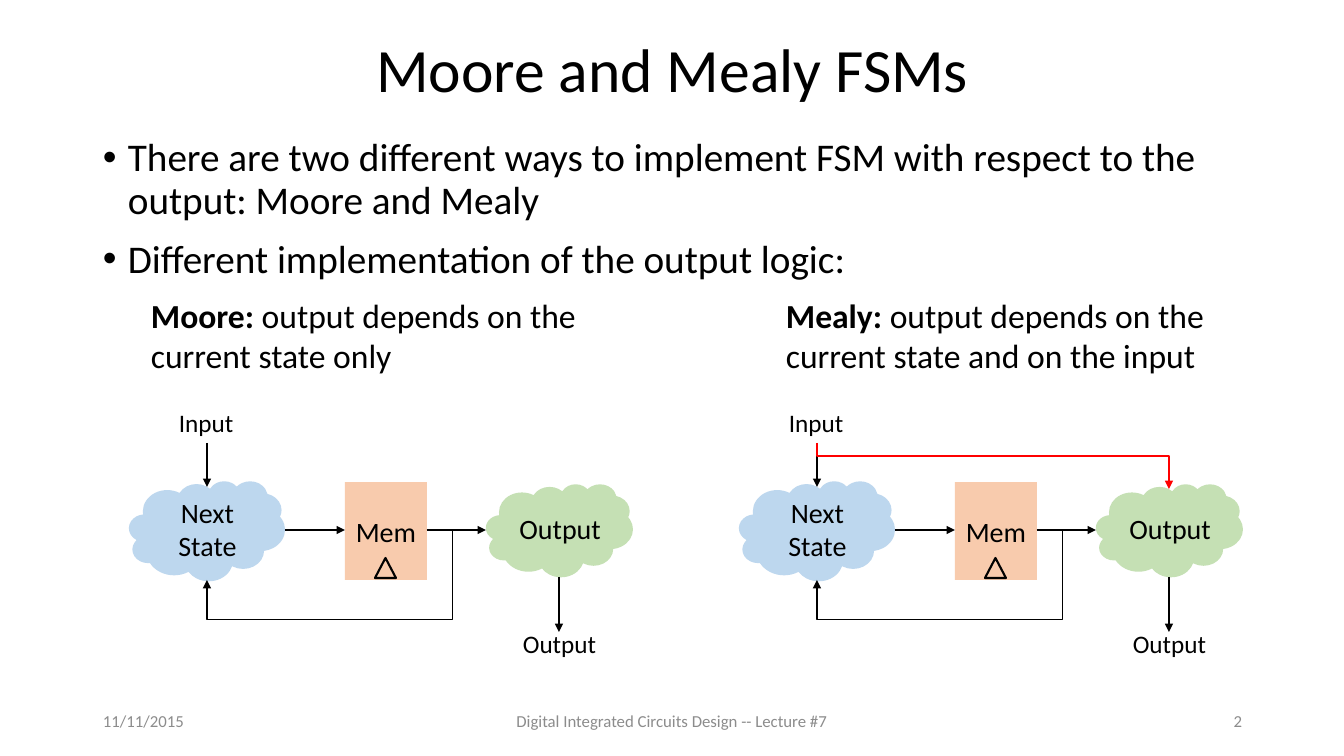
from lxml.etree import SubElement
from pptx import Presentation
from pptx.dml.color import RGBColor
from pptx.enum.shapes import MSO_CONNECTOR as LINK, MSO_SHAPE as SHAPE
from pptx.enum.text import MSO_ANCHOR as ANCHOR, PP_ALIGN as ALIGN
from pptx.oxml.ns import qn
from pptx.util import Pt

PX = 914400 / 100.8
FONT = "Calibri"
COLORS = {"black": "000000", "grey": "8C8C8C", "red": "FF0000",
          "memory": "F8CBAD", "output": "C5E0B4", "state": "BDD7EE"}

TITLE = "Moore and Mealy FSMs"
POINTS = ["There are two different ways to implement FSM with respect to the output: Moore and Mealy",
          "Different implementation of the output logic:"]
FOOTER = [("11/11/2015", 93, 302, ALIGN.LEFT),
          ("Digital Integrated Circuits Design -- Lecture #7", 445, 454, ALIGN.CENTER),
          ("2", 950, 302, ALIGN.RIGHT)]
# name, rule, left of the rule text, left of the diagram
MACHINES = [("Moore: ", "output depends on the current state only", 141, 129),
            ("Mealy: ", "output depends on the current state and on the input", 776, 739)]

# Everything below is measured from the left edge of a diagram.
BLOCKS = [("Mem", SHAPE.RECTANGLE, "memory", (216, 482, 82, 98)),
          ("", SHAPE.ISOSCELES_TRIANGLE, "memory", (246, 558, 21, 20)),
          ("Output", SHAPE.CLOUD, "output", (357, 484, 147, 93)),
          ("Next State", SHAPE.CLOUD, "state", (0, 481, 156, 100))]
STATE_X, OUTPUT_X, FLOW_Y = 78, 430, 530
ARROWS = [(156, FLOW_Y, 216, FLOW_Y), (298, FLOW_Y, 357, FLOW_Y),
          (STATE_X, 443, STATE_X, 487), (OUTPUT_X, 577, OUTPUT_X, 632)]
FEEDBACK = (298, FLOW_Y, STATE_X, 580)
BYPASS = (STATE_X, 443, OUTPUT_X, 489)
PORTS = [("Input", (40, 402, 76, 40), ALIGN.LEFT),
         ("Output", (383, 623, 95, 40), ALIGN.CENTER)]


def px(*lengths):
    """Turn pixels into EMU."""
    return [round(length * PX) for length in lengths]


def rgb(name):
    """Look up a colour."""
    return RGBColor.from_string(COLORS[name])


def style(paragraph, size, color="black", align=ALIGN.LEFT):
    """Set the font and alignment of a paragraph."""
    paragraph.alignment = align
    font = paragraph.font
    font.name, font.size, font.color.rgb = FONT, Pt(size), rgb(color)


def add_text(box, lines, size, color="black", align=ALIGN.LEFT, anchor=ANCHOR.TOP, wrap=True):
    """Add a text box with one paragraph per line and return its paragraphs."""
    frame = slide.shapes.add_textbox(*px(*box)).text_frame
    frame.word_wrap, frame.vertical_anchor = wrap, anchor
    frame.text = "\n".join(lines)
    for paragraph in frame.paragraphs:
        style(paragraph, size, color, align)
    return frame.paragraphs


def add_block(label, preset, color, box):
    """Add one logic block of a diagram."""
    block = slide.shapes.add_shape(preset, *px(*box))
    block.shadow.inherit = False
    block.fill.solid()
    block.fill.fore_color.rgb = rgb(color)
    if not label:
        block.line.color.rgb, block.line.width = rgb("black"), Pt(1.5)
        return
    block.line.fill.background()
    frame = block.text_frame
    frame.text, frame.word_wrap, frame.vertical_anchor = label, True, ANCHOR.MIDDLE
    style(frame.paragraphs[0], 20, align=ALIGN.CENTER)
    if preset == SHAPE.CLOUD:
        frame.margin_left = frame.margin_right = frame.margin_top = frame.margin_bottom = 0
        frame.paragraphs[0]._p.get_or_add_pPr().set("marL", str(px(12)[0]))


def add_arrow(ends, color="black", preset=None, bends=(), turn=0):
    """Add an arrow, straight or bent at the given shares of its size."""
    arrow = slide.shapes.add_connector(LINK.ELBOW if preset else LINK.STRAIGHT, *px(*ends))
    arrow.line.color.rgb, arrow.line.width = rgb(color), Pt(1)
    properties = arrow._element.spPr
    SubElement(arrow.line._get_or_add_ln(), qn("a:tailEnd"), type="triangle")
    SubElement(properties, qn("a:effectLst"))
    if preset:
        geometry = properties.find(qn("a:prstGeom"))
        geometry.set("prst", preset)
        guides = geometry.find(qn("a:avLst"))
        if guides is None:
            guides = SubElement(geometry, qn("a:avLst"))
        for number, share in enumerate(bends, 1):
            SubElement(guides, qn("a:gd"), name=f"adj{number}", fmla=f"val {round(share * 100000)}")
    if turn:
        properties.find(qn("a:xfrm")).set("rot", str(turn * 60000))


def shift(ends, left):
    """Move the two ends of an arrow to the right."""
    x1, y1, x2, y2 = ends
    return left + x1, y1, left + x2, y2


def add_diagram(left):
    """Draw the state machine shared by both kinds."""
    for label, preset, color, (x, *rest) in BLOCKS:
        add_block(label, preset, color, (left + x, *rest))
    for ends in ARROWS:
        add_arrow(shift(ends, left))
    add_arrow(shift(FEEDBACK, left), preset="bentConnector4", bends=(-0.115, 1.785))
    for label, (x, *rest), align in PORTS:
        add_text((left + x, *rest), [label], 18, align=align, wrap=False)


def add_bypass(left):
    """Draw the path from input to output, a connector turned by 270 degrees."""
    x1, y1, x2, y2 = shift(BYPASS, left)
    middle_x, middle_y = (x1 + x2) // 2, (y1 + y2) // 2
    half_w, half_h = (y2 - y1) // 2, (x2 - x1) // 2
    add_arrow((middle_x + half_w, middle_y - half_h, middle_x - half_w, middle_y + half_h),
              "red", "bentConnector3", (0.286,), 270)


deck = Presentation()
deck.slide_width, deck.slide_height = px(1344, 756)
slide = deck.slides.add_slide(deck.slide_layouts[6])

heading, = add_text((93, 33, 1159, 80), [TITLE], 44, align=ALIGN.CENTER, anchor=ANCHOR.MIDDLE)
heading.line_spacing = 0.9

for point in add_text((93, 133, 1159, 164), POINTS, 28):
    point.line_spacing, point.space_before = 0.9, Pt(12)
    layout = point._p.get_or_add_pPr()
    indent, = px(25)
    layout.set("marL", str(indent))
    layout.set("indent", str(-indent))
    SubElement(layout, qn("a:buFont"), typeface="Arial")
    SubElement(layout, qn("a:buChar"), char="•")

for note, left, width, align in FOOTER:
    add_text((left, 701, width, 40), [note], 12, "grey", align, ANCHOR.MIDDLE)

for name, rule, rule_left, diagram_left in MACHINES:
    add_diagram(diagram_left)
    summary, = add_text((rule_left, 290, 492, 92), [name], 24)
    summary.runs[0].font.bold = True
    summary.add_run().text = rule
add_bypass(MACHINES[1][3])

deck.save("out.pptx")
